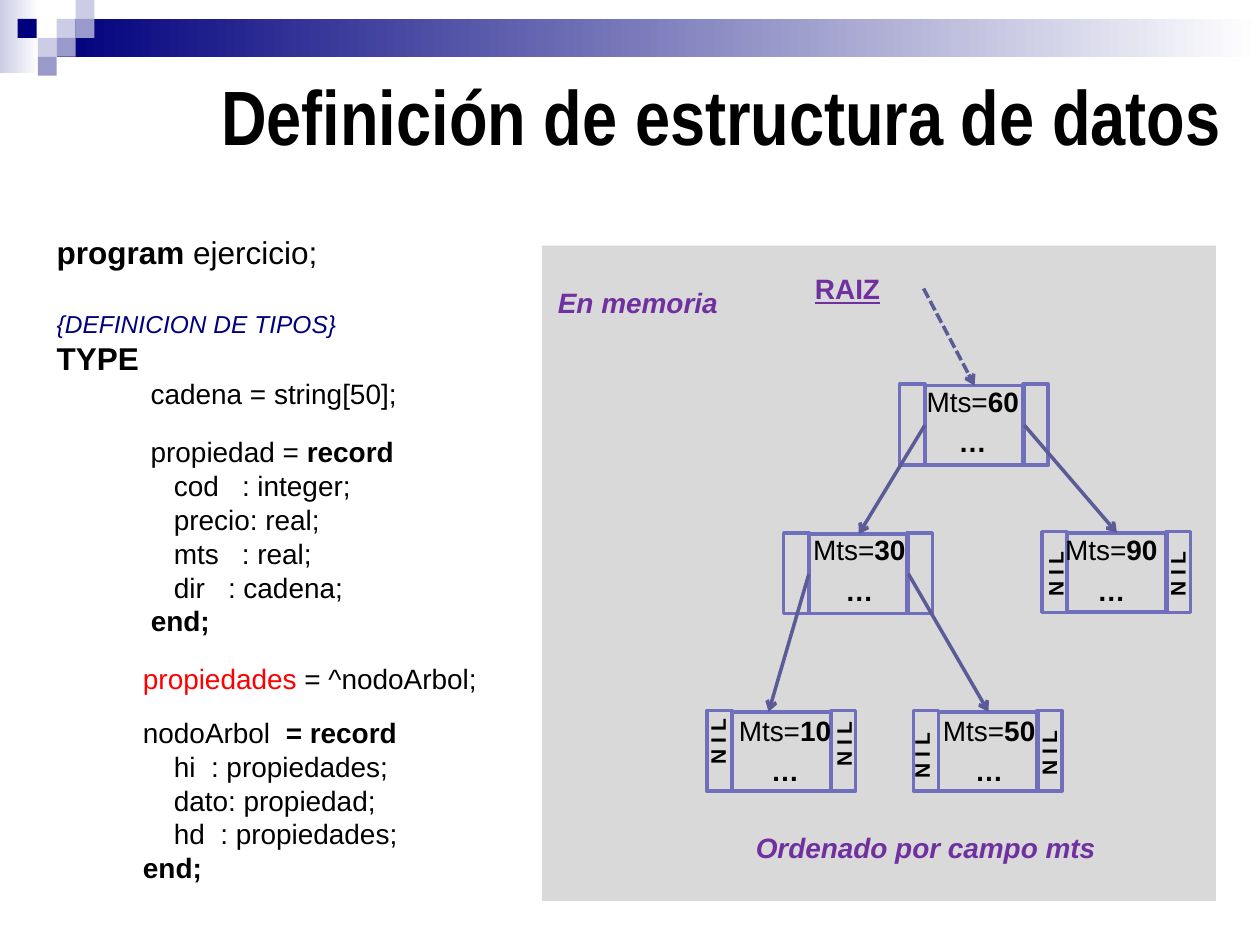
import pptx
import pptx.util
import pptx.dml.color
import pptx.enum.dml
import pptx.enum.shapes
import pptx.enum.text
import pptx.oxml
import pptx.oxml.ns

PX = 9144  # one px is a hundredth of an inch
ALIGN = pptx.enum.text.PP_ALIGN
NAVY, LILAC, MID = "00007D", "CCCCE6", "9999CC"
PURPLE, EDGE, ARROW = "7030A0", "6F6FBC", "5B5B98"


def size(*nums):
    return [pptx.util.Emu(num * PX) for num in nums]


def tint(code):
    return pptx.dml.color.RGBColor.from_string(code)


def child(parent, tag, **attrs):
    node = pptx.oxml.parse_xml(f'<a:{tag} {pptx.oxml.ns.nsdecls("a")}/>')
    for key, val in attrs.items():
        node.set(key, str(val))
    parent.append(node)


class Deck:
    font = "Arial"

    def __init__(self):
        self.file = pptx.Presentation()
        self.file.slide_width, self.file.slide_height = size(1000, 750)
        self.slide = self.file.slides.add_slide(self.file.slide_layouts[1])

    def rect(self, box, fill=None, line=None, fade=None):
        shape = self.slide.shapes.add_shape(
            pptx.enum.shapes.MSO_SHAPE.RECTANGLE, *size(*box))
        shape.shadow.inherit = False
        if fade:
            shape.fill.gradient()
            shape.fill.gradient_angle = 0
            for stop, code in zip(shape.fill.gradient_stops, fade):
                stop.color.rgb = tint(code)
        elif fill:
            shape.fill.solid()
            shape.fill.fore_color.rgb = tint(fill)
        else:
            shape.fill.background()
        if line:
            shape.line.color.rgb = tint(line)
            shape.line.width = pptx.util.Pt(2)
        else:
            shape.line.fill.background()
        return shape

    def arrow(self, start, end, dash=False):
        """Each end is a point or a (shape, side) pair."""
        line = self.slide.shapes.add_connector(
            pptx.enum.shapes.MSO_CONNECTOR.STRAIGHT, 0, 0, 0, 0)
        if isinstance(start[0], int):
            line.begin_x, line.begin_y = size(*start)
        else:
            line.begin_connect(*start)
        if isinstance(end[0], int):
            line.end_x, line.end_y = size(*end)
        else:
            line.end_connect(*end)
        line.line.color.rgb = tint(ARROW)
        line.line.width = pptx.util.Pt(2)
        if dash:
            line.line.dash_style = pptx.enum.dml.MSO_LINE.DASH
            mark = line._element.spPr.find(".//" + pptx.oxml.ns.qn("a:prstDash"))
            mark.set("val", "sysDash")
        child(line.line._get_or_add_ln(), "tailEnd", type="arrow")
        child(line._element.spPr, "effectLst")

    def runs(self, par, parts, pts, color="000000", font=None):
        """Parts are (text, marks); marks hold b, i, u, or a colour letter."""
        for text, marks in parts:
            run = par.add_run()
            run.text = text
            face = run.font
            face.name, face.size = font or self.font, pptx.util.Pt(pts)
            face.bold, face.italic = "b" in marks, "i" in marks
            face.underline = "u" in marks
            code = {"n": NAVY, "r": "FF0000"}.get(marks[-1:], color)
            face.color.rgb = tint(code)

    def label(self, box, rows, pts, color="000000", align=ALIGN.LEFT, turn=0):
        shape = self.slide.shapes.add_textbox(*size(*box))
        shape.rotation = turn
        frame = shape.text_frame
        frame.word_wrap = True
        for num, parts in enumerate(rows):
            par = frame.add_paragraph() if num else frame.paragraphs[0]
            par.alignment = align
            if num:
                par.space_before = pptx.util.Pt(4)
            self.runs(par, parts, pts, color)

    def holder(self, num, box, anchor):
        shape = self.slide.placeholders[num]
        shape.left, shape.top, shape.width, shape.height = size(*box)
        frame = shape.text_frame
        frame.auto_size = pptx.enum.text.MSO_AUTO_SIZE.NONE
        frame.vertical_anchor = anchor
        return frame

    def title(self, box, text):
        frame = self.holder(0, box, pptx.enum.text.MSO_ANCHOR.MIDDLE)
        par = frame.paragraphs[0]
        par.alignment = ALIGN.RIGHT
        self.runs(par, [(text, "b")], 44, font="Arial Narrow")

    def code(self, box, rows):
        frame = self.holder(1, box, pptx.enum.text.MSO_ANCHOR.TOP)
        for num, (level, pts, gap, space, parts) in enumerate(rows):
            par = frame.add_paragraph() if num else frame.paragraphs[0]
            par.level = level
            props = par._p.get_or_add_pPr()
            left, hang = size(*((81, -31) if level else (38, -38)))
            props.set("marL", str(left))
            props.set("indent", str(hang))
            child(props, "buNone")
            par.line_spacing = space
            par.space_before = pptx.util.Pt(gap)
            self.runs(par, parts, pts)


def line(*parts, gap=4, space=0.8):
    return 1, 16, gap, space, parts


CODE = [
    (0, 18, 0, 0.8, [("program", "b"), (" ejercicio;", "")]),
    (0, 14, 25, 0.8, [("{DEFINICION DE TIPOS}", "in")]),
    (0, 18, 4.5, 0.8, [("TYPE", "b")]),
    line(("    cadena = string[50];", "")),
    line(("    propiedad = ", ""), ("record", "b"), gap=10, space=1.2),
    line(("       cod   : integer;", "")),
    line(("       precio: real;", "")),
    line(("       mts   : real;", "")),
    line(("       dir   : cadena;", "")),
    line(("    ", ""), ("end;", "b")),
    line(("   ", ""), ("propiedades", "r"), (" = ^nodoArbol;", ""), space=1.5),
    line(("   nodoArbol  ", ""), ("= record", "b"), space=1.4),
    line(("       hi  : propiedades;", "")),
    line(("       dato: propiedad;", "")),
    line(("       hd  : propiedades;", "")),
    line(("   ", ""), ("end;", "b")),
]

# Tree nodes: value, cell corner, text corner, corners of the NIL marks
NODES = [
    ("60", (734, 306), (688, 300), []),
    ("30", (642, 424), (598, 418), []),
    ("90", (847, 423), (798, 418), [(789, 420), (886, 420)]),
    ("10", (581, 565), (539, 561), [(521, 553), (621, 555)]),
    ("50", (745, 565), (701, 561), [(683, 564), (784, 562)]),
]


def main():
    deck = Deck()

    # Top band and squares
    deck.rect((0, 0, 31, 58), fade=(LILAC, "FFFFFF"))
    deck.rect((45, 15, 955, 30), fade=(NAVY, "FFFFFF"))
    for x, y, fill in [(45, 15, LILAC), (60, 0, LILAC), (60, 15, MID),
                       (30, 30, LILAC), (14, 15, NAVY), (45, 30, MID),
                       (30, 45, MID)]:
        deck.rect((x, y, 15, 15), fill)

    # Title and type definitions
    deck.title((35, 28, 945, 126), "Definición de estructura de datos")
    deck.code((35, 186, 504, 537), CODE)

    # Memory panel, with labels wide enough for one line
    deck.rect((430, 195, 535, 520), "D9D9D9")
    for box, text, marks in [((590, 654, 320, 37), "Ordenado por campo mts", "bi"),
                             ((637, 211, 90, 37), "RAIZ", "bu"),
                             ((433, 222, 170, 37), "En memoria", "bi")]:
        deck.label(box, [[(text, marks)]], 16, PURPLE)

    # Node cells: data with a pointer on each side
    cells = {}
    for value, (x, y), _, _ in NODES:
        cells[value] = deck.rect((x, y, 79, 63), line=EDGE)
        for side in (x - 20, x + 78):
            deck.rect((side, y - 1, 20, 64), line=EDGE)

    # Pointers
    root, left = cells["60"], cells["30"]
    deck.arrow((root, 1), (left, 0))
    deck.arrow((left, 1), (610, 565))
    deck.arrow((left, 3), (cells["50"], 0))
    deck.arrow((root, 3), (cells["90"], 0))
    deck.arrow((733, 229), (root, 0), dash=True)

    # Node text
    for value, _, (x, y), nils in NODES:
        deck.label((x, y, 168, 69), [[("Mts=", ""), (value, "b")], [("…", "b")]],
                   16, align=ALIGN.CENTER)
        for spot in nils:
            deck.label((*spot, 97, 30), [[("N I L", "b")]], 12, turn=270)

    deck.file.save("out.pptx")


if __name__ == "__main__":
    main()
